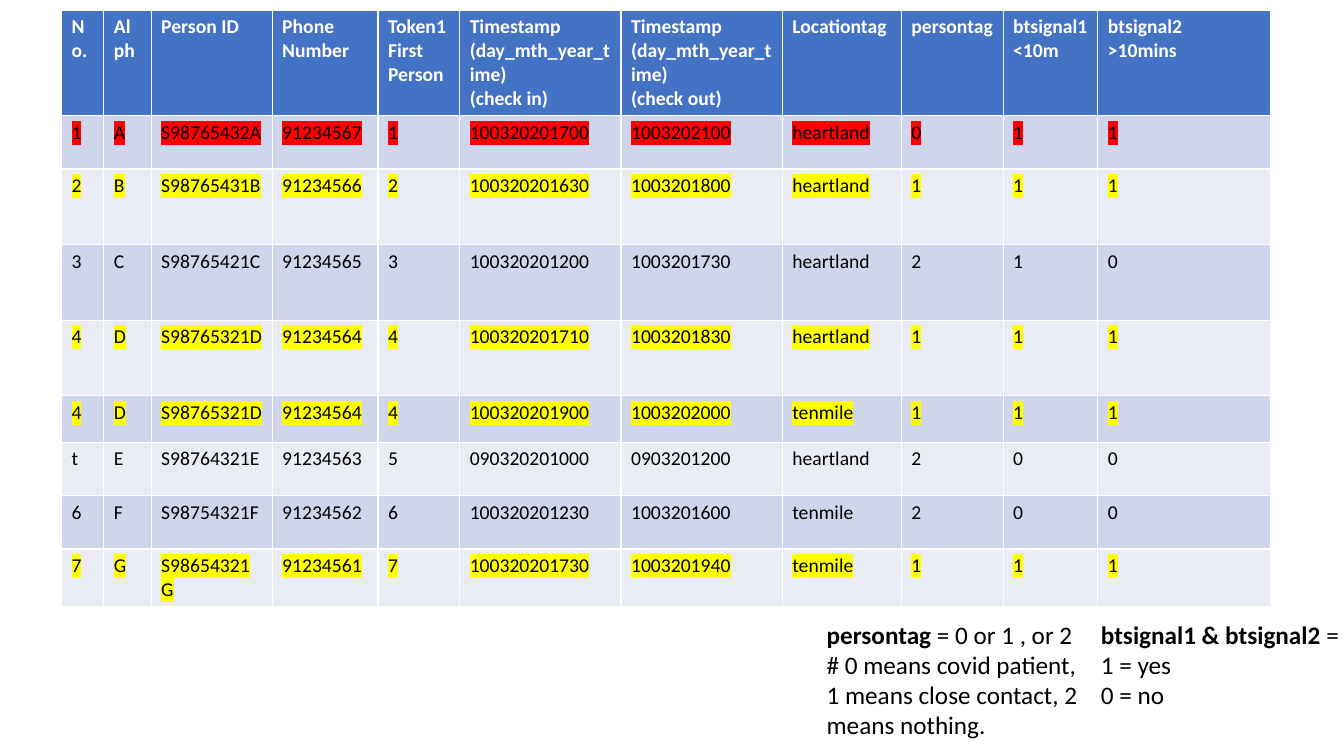
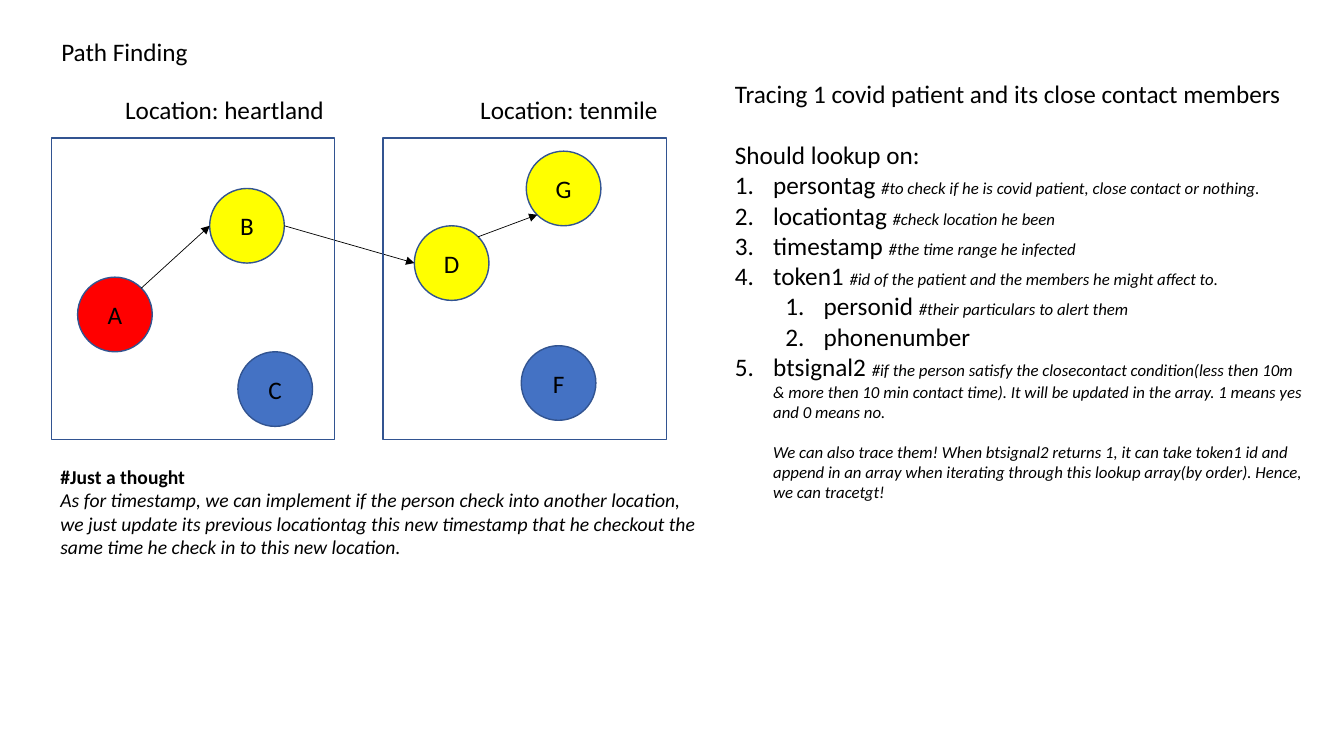
from dataclasses import dataclass
from math import cos, radians, sin

from lxml.etree import SubElement
from pptx import Presentation
from pptx.dml.color import RGBColor
from pptx.enum.shapes import MSO_CONNECTOR, MSO_SHAPE
from pptx.enum.text import MSO_ANCHOR, MSO_AUTO_SIZE, PP_ALIGN
from pptx.oxml import parse_xml
from pptx.oxml.ns import nsdecls, qn
from pptx.util import Emu, Pt

EMU_PER_PX = 9144


@dataclass(frozen=True)
class Theme:
    font: str = "Calibri"
    ink: str = "000000"
    paper: str = "FFFFFF"
    blue: str = "4472C4"
    outline: str = "325491"
    patient: str = "FF0000"
    contact: str = "FFFF00"
    bands: tuple = ("CFD5EA", "E9EBF5")
    body: int = 18
    small: int = 14
    note: int = 12


THEME = Theme()
BODY = {"size": Pt(THEME.body)}
BODY_BOLD = {**BODY, "bold": True}
CELL = {"size": Pt(THEME.small), "bold": False}
HEADING = {"size": Pt(THEME.small), "bold": True}
THOUGHT = {"size": Pt(THEME.small), "italic": True}
NOTE = {"size": Pt(THEME.note), "italic": True}
TAG_COLOURS = {"0": THEME.patient, "1": THEME.contact}
PERSONTAG = 8

COLUMNS = [
    (42, ["No."]),
    (47, ["Alph"]),
    (120, ["Person ID"]),
    (105, ["Phone Number"]),
    (81, ["Token1", "First", "Person"]),
    (160, ["Timestamp", "(day_mth_year_time)", "(check in)"]),
    (160, ["Timestamp", "(day_mth_year_time)", "(check out)"]),
    (118, ["Locationtag"]),
    (101, ["persontag"]),
    (94, ["btsignal1", "<10m"]),
    (171, ["btsignal2", ">10mins"]),
]
ROW_HEIGHTS = [97, 53, 75, 75, 75, 46, 53, 53, 53]
RECORDS = [
    "1 A S98765432A 91234567 1 100320201700 1003202100 heartland 0 1 1",
    "2 B S98765431B 91234566 2 100320201630 1003201800 heartland 1 1 1",
    "3 C S98765421C 91234565 3 100320201200 1003201730 heartland 2 1 0",
    "4 D S98765321D 91234564 4 100320201710 1003201830 heartland 1 1 1",
    "4 D S98765321D 91234564 4 100320201900 1003202000 tenmile 1 1 1",
    "t E S98764321E 91234563 5 090320201000 0903201200 heartland 2 0 0",
    "6 F S98754321F 91234562 6 100320201230 1003201600 tenmile 2 0 0",
    "7 G S98654321G 91234561 7 100320201730 1003201940 tenmile 1 1 1",
]

DIAMETER = 74
PEOPLE = {
    "A": (77, 275, "0"),
    "B": (208, 187, "1"),
    "D": (411, 224, "1"),
    "G": (522, 150, "1"),
    "C": (236, 349, "2"),
    "F": (517, 343, "2"),
}
CONTACTS = [("A", 45, "B", 180), ("B", 0, "D", 180), ("D", 45, "G", 225)]
LOCATIONS = [("heartland", 51, 65, 266), ("tenmile", 380, 463, 199)]

LOOKUPS = [
    (0, "persontag ", "#to check if he is covid patient, close contact or nothing."),
    (0, "locationtag ", "#check location he been"),
    (0, "timestamp ", "#the time range he infected"),
    (0, "token1 ", "#id of the patient and the members he might affect to."),
    (1, "personid ", "#their particulars to alert them"),
    (1, "phonenumber", ""),
    (0, "btsignal2 ", "#if the person satisfy the closecontact condition(less then 10m & more "
     "then 10 min contact time). It will be updated in the array. 1 means yes and 0 means no."),
]
TRACE = ("We can also trace them! When btsignal2 returns 1, it can take token1 id and append "
         "in an array when iterating through this lookup array(by order). Hence, we can tracetgt!")
THOUGHT_TEXT = ("As for timestamp, we can implement if the person check into another location, "
                "we just update its previous locationtag this new timestamp that he checkout the "
                "same time he check in to this new location.")


def px(*lengths):
    return [Emu(length * EMU_PER_PX) for length in lengths]


def rgb(value):
    return RGBColor.from_string(value)


def apply(target, values):
    for attribute, value in values.items():
        setattr(target, attribute, value)


def add_run(paragraph, text, style, colour=THEME.ink, highlight=None):
    run = paragraph.add_run()
    run.text = text
    apply(run.font, {"name": THEME.font, **style})
    run.font.color.rgb = rgb(colour)
    if highlight:
        mark = parse_xml(f'<a:highlight {nsdecls("a")}><a:srgbClr val="{highlight}"/></a:highlight>')
        run.font.fill._xPr.find(qn("a:solidFill")).addnext(mark)


def write(frame, paragraphs, layout=None, **run_options):
    for index, runs in enumerate(paragraphs):
        paragraph = frame.add_paragraph() if index else frame.paragraphs[0]
        apply(paragraph, layout or {})
        for text, style in runs:
            add_run(paragraph, text, style, **run_options)


def add_text(slide, box, paragraphs, layout=None):
    frame = slide.shapes.add_textbox(*px(*box)).text_frame
    apply(frame, {"word_wrap": True, "auto_size": MSO_AUTO_SIZE.SHAPE_TO_FIT_TEXT})
    write(frame, paragraphs, layout)
    return frame


def add_outlined(slide, preset, box, fill=None):
    shape = slide.shapes.add_shape(preset, *px(*box))
    shape.shadow.inherit = False
    if fill:
        shape.fill.solid()
        shape.fill.fore_color.rgb = rgb(fill)
    else:
        shape.fill.background()
    shape.line.color.rgb = rgb(THEME.outline)
    shape.line.width = Pt(1)
    return shape


def add_person(slide, name):
    left, top, tag = PEOPLE[name]
    fill = TAG_COLOURS.get(tag, THEME.blue)
    person = add_outlined(slide, MSO_SHAPE.OVAL, (left, top, DIAMETER, DIAMETER), fill)
    person.text_frame.vertical_anchor = MSO_ANCHOR.MIDDLE
    write(person.text_frame, [[(name, BODY)]], {"alignment": PP_ALIGN.CENTER})


def rim_point(name, angle):
    left, top, _ = PEOPLE[name]
    radius = DIAMETER / 2
    turn = radians(angle)
    return px(round(left + radius + radius * cos(turn)), round(top + radius - radius * sin(turn)))


def add_contact(slide, source, source_angle, target, target_angle):
    arrow = slide.shapes.add_connector(
        MSO_CONNECTOR.STRAIGHT, *rim_point(source, source_angle), *rim_point(target, target_angle))
    arrow.line.color.rgb = rgb(THEME.ink)
    arrow.line.width = Pt(0.5)
    SubElement(arrow.line._get_or_add_ln(), qn("a:tailEnd"), type="triangle")
    SubElement(arrow._element.spPr, qn("a:effectLst"))


def indent(paragraph, level, numbered=True):
    properties = paragraph._p.get_or_add_pPr()
    margin, hanging = px(38 + 50 * level, 38)
    properties.set("marL", str(margin))
    properties.set("indent", str(-hanging if numbered else 0))
    if numbered:
        paragraph.level = level
        SubElement(properties, qn("a:buFont"), typeface="+mj-lt")
        SubElement(properties, qn("a:buAutoNum"), type="arabicPeriod")


def fill_cell(cell, lines, style, fill, **run_options):
    cell.fill.solid()
    cell.fill.fore_color.rgb = rgb(fill)
    write(cell.text_frame, [[(line, style)] for line in lines], **run_options)


def add_records(slide):
    widths = [width for width, _ in COLUMNS]
    table = slide.shapes.add_table(
        len(ROW_HEIGHTS), len(COLUMNS), *px(61, 10, sum(widths), sum(ROW_HEIGHTS))).table
    for column, width in zip(table.columns, px(*widths)):
        column.width = width
    for row, height in zip(table.rows, px(*ROW_HEIGHTS)):
        row.height = height
    for index, (_, heading) in enumerate(COLUMNS):
        fill_cell(table.cell(0, index), heading, HEADING, THEME.blue, colour=THEME.paper)
    for number, record in enumerate(RECORDS):
        values = record.split()
        highlight = TAG_COLOURS.get(values[PERSONTAG])
        for index, value in enumerate(values):
            fill_cell(table.cell(number + 1, index), [value], CELL,
                      THEME.bands[number % 2], highlight=highlight)


def add_lookups(slide):
    paragraphs = [
        [("Tracing 1 covid patient and its close contact members", BODY)],
        [("Should lookup on:", BODY)],
    ]
    for _, field, remark in LOOKUPS:
        paragraphs.append([(field, BODY)] + ([(remark, NOTE)] if remark else []))
    paragraphs.append([(TRACE, NOTE)])
    frame = add_text(slide, (719, 73, 583, 677), paragraphs)
    title, _, *items, trace = frame.paragraphs
    title.space_after = Pt(22)
    for item, (level, _, _) in zip(items, LOOKUPS):
        indent(item, level)
    indent(trace, 0, numbered=False)
    trace.space_before = Pt(14)


def build_records_slide(slide):
    add_records(slide)
    add_text(slide, (810, 609, 271, 131), [[
        ("persontag", BODY_BOLD),
        (" = 0 or 1 , or 2 # 0 means covid patient, 1 means close contact, 2 means nothing.", BODY),
    ]])
    add_text(slide, (1082, 609, 271, 101), [
        [("btsignal1 & btsignal2", BODY_BOLD), (" =", BODY)],
        [("1 = yes", BODY)],
        [("0 = no", BODY)],
    ])


def build_path_slide(slide):
    add_text(slide, (51, 31, 160, 40), [[("Path Finding", BODY)]])
    for name in PEOPLE:
        add_person(slide, name)
    for contact in CONTACTS:
        add_contact(slide, *contact)
    for location, left, label_left, label_width in LOCATIONS:
        add_outlined(slide, MSO_SHAPE.RECTANGLE, (left, 137, 281, 299))
        add_text(slide, (label_left, 89, label_width, 40),
                 [[(f"Location: {location}", BODY)]], {"alignment": PP_ALIGN.RIGHT})
    add_lookups(slide)
    add_text(slide, (50, 456, 662, 104),
             [[("#Just a thought", HEADING)], [(THOUGHT_TEXT, THOUGHT)]])


def main():
    deck = Presentation()
    deck.slide_width, deck.slide_height = px(1333, 750)
    blank = deck.slide_layouts[6]
    for build in (build_records_slide, build_path_slide):
        build(deck.slides.add_slide(blank))
    deck.save("out.pptx")


if __name__ == "__main__":
    main()
